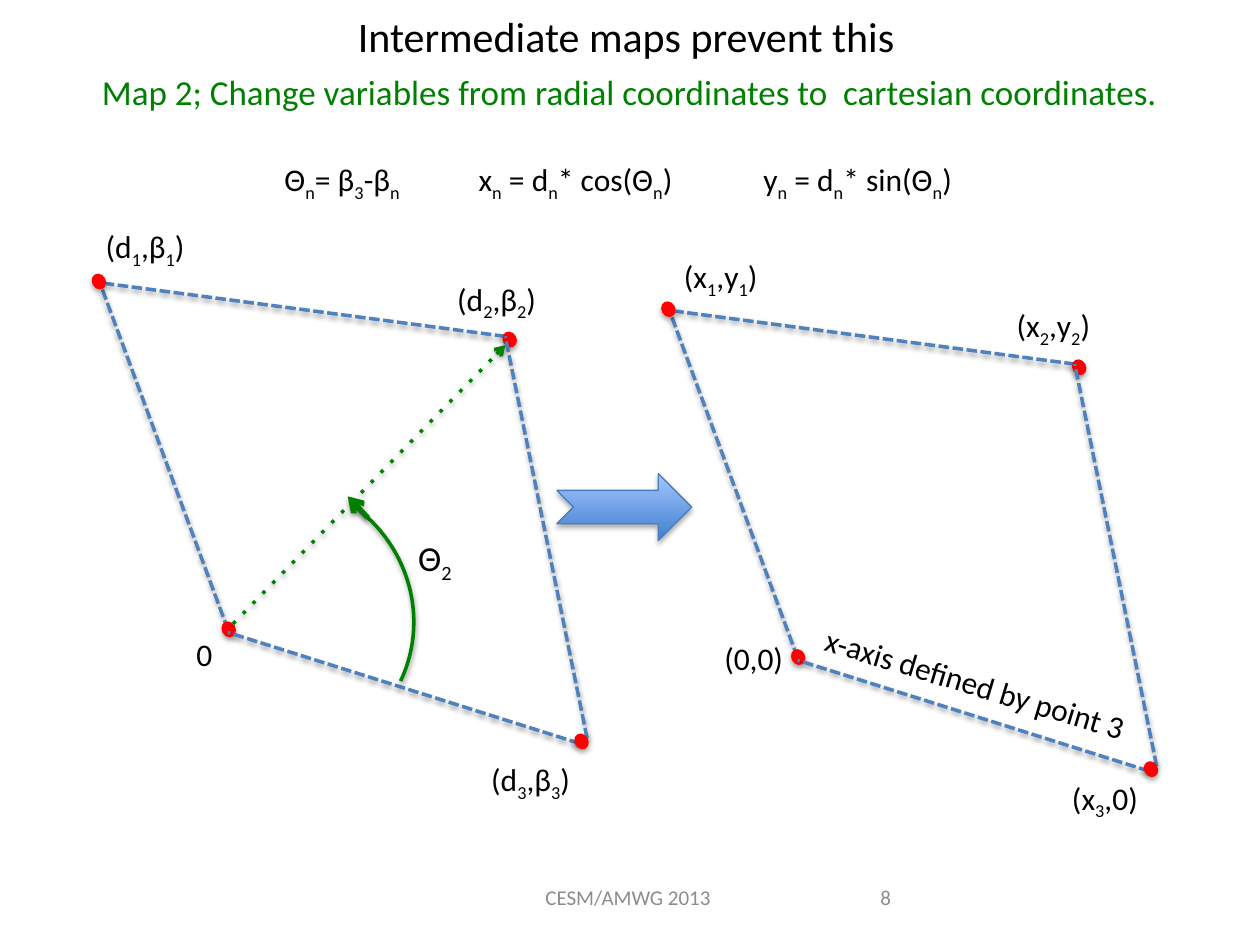
from lxml import etree
from pptx import Presentation
from pptx.dml.color import RGBColor
from pptx.enum.shapes import MSO_CONNECTOR, MSO_SHAPE
from pptx.enum.text import MSO_ANCHOR, MSO_AUTO_SIZE, PP_ALIGN
from pptx.oxml.ns import qn
from pptx.util import Inches, Pt

LINE = MSO_CONNECTOR.STRAIGHT
OVAL, ARC, ARROW = MSO_SHAPE.OVAL, MSO_SHAPE.ARC, MSO_SHAPE.NOTCHED_RIGHT_ARROW
LEFT, MID, RIGHT = PP_ALIGN.LEFT, PP_ALIGN.CENTER, PP_ALIGN.RIGHT
TOP, CENTER = MSO_ANCHOR.TOP, MSO_ANCHOR.MIDDLE
GROW, FIXED = MSO_AUTO_SIZE.SHAPE_TO_FIT_TEXT, MSO_AUTO_SIZE.NONE

COLS, ROWS = 100, 75  # slide grid of square cells
CELL = Inches(10) / COLS
INK = {"text": "000000", "green": "008000", "edge": "4F81BD", "dot": "FF0000",
       "foot": "8C8C8C", "low": "3F80CE", "high": "A4C4FF", "rim": "4B7EBC"}
FLOW = {"word_wrap": False, "auto_size": GROW, "vertical_anchor": TOP}
FOOT = {"word_wrap": True, "auto_size": FIXED, "vertical_anchor": CENTER}


def grid(*cells):
    return [round(n * CELL) for n in cells]


def ink(name):
    return RGBColor.from_string(INK[name])


def put(part, form):
    for name, value in form.items():
        setattr(part, name, value)


def add(root, tag, **attrs):
    node = etree.SubElement(root, qn(tag))
    for name, value in attrs.items():
        node.set(name, str(value))
    return node


def shade(part, alpha, dist):
    """Soft shadow straight below a part."""
    list_ = add(part._element.spPr, "a:effectLst")
    drop = add(list_, "a:outerShdw", blurRad=Pt(3.1), dist=Pt(dist),
               dir=90 * 60000, rotWithShape=0)
    add(add(drop, "a:srgbClr", val="000000"), "a:alpha", val=alpha * 1000)


def write(box, text, size=18, color="text", align=LEFT, flow=FLOW):
    """Fill a box; an underscore makes the next letter a subscript."""
    frame = box.text_frame
    put(frame, flow)
    para = frame.paragraphs[0]
    para.alignment = align
    head, *tails = text.split("_")
    bits = [(head, False)]
    for tail in tails:
        bits += [(tail[0], True), (tail[1:], False)]
    for bit, sub in bits:
        if bit:
            run = para.add_run()
            run.text = bit
            put(run.font, {"size": Pt(size), "name": "Calibri"})
            run.font.color.rgb = ink(color)
            if sub:
                run._r.get_or_add_rPr().set("baseline", "-25000")


def label(slide, at, text, **form):
    box = slide.shapes.add_textbox(*grid(*at))
    write(box, text, **form)
    return box


def line(slide, x, y, start, end, color, width=2, dash=None, head=False):
    (a, b), (c, d) = start, end
    part = slide.shapes.add_connector(LINE, *grid(x + a, y + b, x + c, y + d))
    part.line.width = Pt(width)
    part.line.color.rgb = ink(color)
    ln = part.line._get_or_add_ln()
    if dash:
        add(ln, "a:prstDash", val=dash)
    if head:
        add(ln, "a:tailEnd", type="arrow")
    shade(part, 38, 1.6)


def dot(slide, x, y):
    part = slide.shapes.add_shape(OVAL, *grid(x, y, 1.3, 1.1))
    part.rotation = 60.9
    part.fill.solid()
    part.fill.fore_color.rgb = ink("dot")
    part.line.fill.background()
    shade(part, 35, 1.8)


def header(slide):
    title = slide.shapes.title
    left, top, width, height = grid(27.4, 0.3, 45.3, 5)
    put(title, {"left": left, "top": top, "width": width, "height": height})
    write(title, "Intermediate maps prevent this", size=24)
    label(slide, (7.1, 5.1, 86.9, 4.4),
          "Map 2; Change variables from radial coordinates to  cartesian coordinates.",
          size=20, color="green")


def rules(slide, y):
    for x, width, text in ((21.6, 11.6, "Θ_n= β_3-β_n"),
                           (37, 17.9, "x_n = d_n* cos(Θ_n)"),
                           (59.6, 17.5, "y_n = d_n* sin(Θ_n)")):
        label(slide, (x, y, width, 4), text)


def quad(slide, x, y, names):
    """Four-sided cell with dashed edges, corner dots and corner names."""
    def edge(start, end):
        line(slide, x, y, start, end, "edge", dash="sysDash")

    edge((10.9, 28.2), (0.9, 1.1))
    edge((32.9, 4.9), (1.2, 0.7))
    for a, b in ((0, 0), (32.6, 4.6), (10.3, 27.6)):
        dot(slide, x + a, y + b)
    edge((38.8, 37.2), (10.9, 28.4))
    edge((39.4, 36.8), (32.9, 4.9))
    dot(slide, x + 38.3, y + 36.5)
    for a, b, width, text in names:
        label(slide, (x + a, y + b, width, 4), text)


def angle(slide, x, y):
    """Ray to corner 2 and the angle swept from the lower edge."""
    arc = slide.shapes.add_shape(ARC, *grid(x + 2.8, y + 16.2, 22.9, 22.3))
    arc.rotation = 25.4
    arc.adjustments[0], arc.adjustments[1] = 168.84, 0
    arc.fill.background()
    arc.line.color.rgb = ink("green")
    arc.line.width = Pt(2)
    shade(arc, 38, 1.6)
    line(slide, x, y, (11.3, 27.7), (32.9, 5.6), "green", dash="dot", head=True)
    line(slide, x, y, (22, 19.3), (20.4, 17.6), "green", width=3, head=True)
    label(slide, (x + 25, y + 20.3, 4.8, 4.4), "Θ_2", size=20)


def arrow(slide, *at):
    part = slide.shapes.add_shape(ARROW, *grid(*at))
    part.fill.gradient()
    part.fill.gradient_angle = 90
    for stop, name in zip(part.fill.gradient_stops, ("low", "high")):
        stop.color.rgb = ink(name)
    part.line.color.rgb = ink("rim")
    part.line.width = Pt(0.75)
    shade(part, 35, 1.8)


def footer(slide, y):
    for x, width, text, align in ((40.2, 19.3, "CESM/AMWG 2013", MID),
                                  (66.9, 4.8, "8", RIGHT)):
        label(slide, (x, y, width, 4), text, size=12, color="foot",
              align=align, flow=FOOT)


def main():
    deck = Presentation()
    deck.slide_width, deck.slide_height = grid(COLS, ROWS)
    slide = deck.slides.add_slide(deck.slide_layouts[5])
    header(slide)
    rules(slide, 12.2)

    # Radial coordinates
    x, y = 7.2, 21.8
    quad(slide, x, y, ((0.2, -4.3, 8.9, "(d_1,β_1)"), (28.1, -0.1, 8.9, "(d_2,β_2)"),
                       (30.8, 38, 8.9, "(d_3,β_3)"), (7.4, 28.1, 2.3, "0")))
    angle(slide, x, y)

    # Cartesian coordinates
    x, y = 52.4, 24
    quad(slide, x, y, ((0.9, -4.1, 8.1, "(x_1,y_1)"), (27.3, -0.2, 8.1, "(x_2,y_2)"),
                       (31.7, 37.3, 7.4, "(x_3,0)"), (4.1, 26.2, 6.7, "(0,0)")))
    axis = label(slide, (x + 11.7, y + 28.3, 27, 4), "x-axis defined by point 3")
    axis.rotation = 16.8

    arrow(slide, 44.2, 37.6, 10.7, 5.3)
    footer(slide, 69.2)
    deck.save("out.pptx")


if __name__ == "__main__":
    main()
